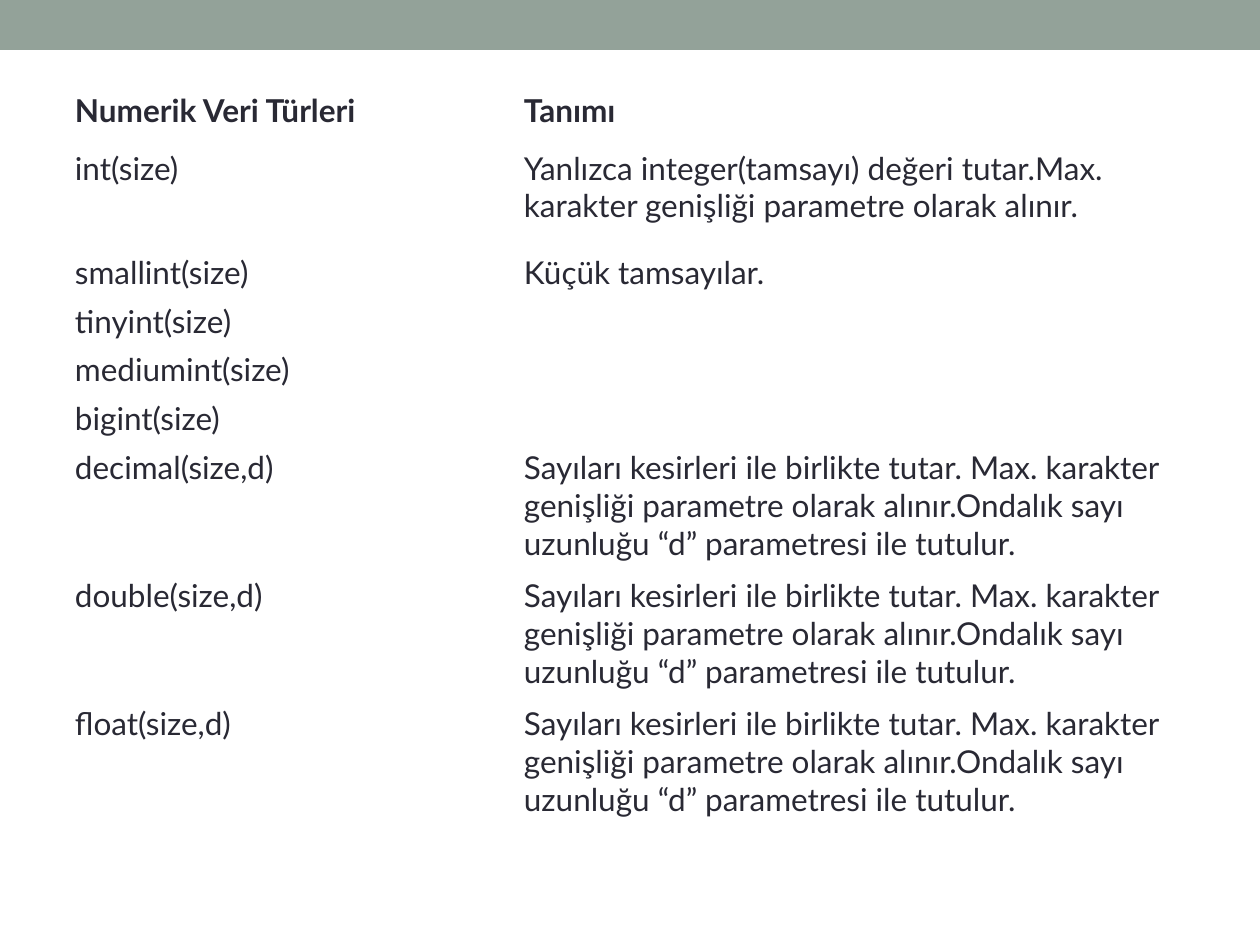
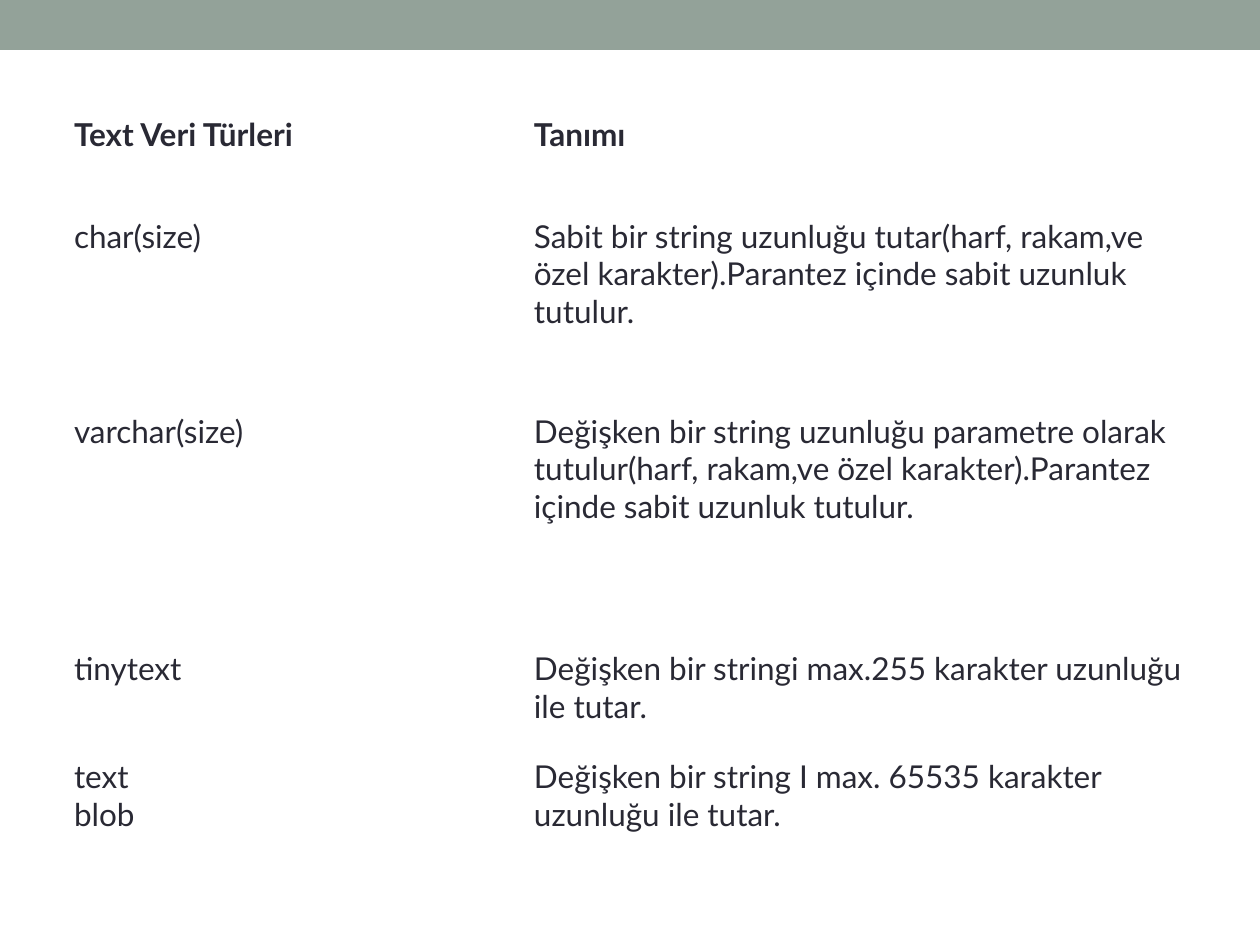
import pptx
import pptx.dml.color
import pptx.enum.shapes
import pptx.util

PX = 914400 // 126
SLIDE_WIDTH, SLIDE_HEIGHT = 1260, 945
BAND_HEIGHT = 50
BLANK_LAYOUT = 6
FONT = "Lato"

SAGE = pptx.dml.color.RGBColor(0x93, 0xA2, 0x99)
INK = pptx.dml.color.RGBColor(0x29, 0x29, 0x34)
WHITE = pptx.dml.color.RGBColor(0xFF, 0xFF, 0xFF)

FRACTION_NOTE = (
    "Sayıları kesirleri ile birlikte tutar. Max. karakter genişliği parametre "
    "olarak alınır.Ondalık sayı uzunluğu “d” parametresi ile tutulur."
)
NUMERIC_TYPES = [
    ("Numerik Veri Türleri", "Tanımı"),
    ("int(size)", "Yanlızca integer(tamsayı) değeri tutar.Max. karakter "
                  "genişliği parametre olarak alınır."),
    ("smallint(size)", "Küçük tamsayılar."),
    ("tinyint(size)", ""),
    ("mediumint(size)", ""),
    ("bigint(size)", ""),
    ("decimal(size,d)", FRACTION_NOTE),
    ("double(size,d)", FRACTION_NOTE),
    ("float(size,d)", FRACTION_NOTE),
]
TEXT_TYPES = [
    ("Text Veri Türleri", "Tanımı"),
    ("char(size)", "Sabit bir string uzunluğu tutar(harf, rakam,ve özel "
                   "karakter).Parantez içinde sabit uzunluk tutulur."),
    ("varchar(size)", "Değişken bir string uzunluğu parametre olarak tutulur(harf, "
                      "rakam,ve özel karakter).Parantez içinde sabit uzunluk tutulur."),
    ("tinytext", "Değişken bir stringi max.255 karakter uzunluğu ile tutar."),
    ("text\nblob", "Değişken bir string I max. 65535 karakter uzunluğu ile tutar."),
]


def px(length):
    """Turn whole pixels into EMU."""
    return pptx.util.Emu(length * PX)


def write_text(text_frame, text, size=18, bold=False, color=INK):
    """Write one paragraph of formatted text."""
    paragraph = text_frame.paragraphs[0]
    paragraph.text = text
    for run in paragraph.runs:
        run.font.name = FONT
        run.font.size = pptx.util.Pt(size)
        run.font.bold = bold
        run.font.color.rgb = color


def add_banded_slide(presentation):
    """Add a blank slide with the coloured band along its top."""
    slide = presentation.slides.add_slide(presentation.slide_layouts[BLANK_LAYOUT])
    band = slide.shapes.add_shape(
        pptx.enum.shapes.MSO_SHAPE.RECTANGLE, 0, 0, px(SLIDE_WIDTH), px(BAND_HEIGHT)
    )
    band.shadow.inherit = False
    band.fill.solid()
    band.fill.fore_color.rgb = SAGE
    band.line.fill.background()
    return slide


def add_type_table(slide, rows, left, top, widths, heights, inset_x, inset_y):
    """Add a plain white table whose first row is bold."""
    table = slide.shapes.add_table(
        len(rows), len(widths), px(left), px(top), px(sum(widths)), px(sum(heights))
    ).table
    table.first_row = False
    table.horz_banding = False
    for column, width in zip(table.columns, widths):
        column.width = px(width)
    for row_index, (texts, height) in enumerate(zip(rows, heights)):
        table.rows[row_index].height = px(height)
        for column_index, text in enumerate(texts):
            cell = table.cell(row_index, column_index)
            cell.fill.solid()
            cell.fill.fore_color.rgb = WHITE
            cell.margin_left = cell.margin_right = px(inset_x)
            cell.margin_top = cell.margin_bottom = px(inset_y)
            write_text(cell.text_frame, text, bold=row_index == 0)


def main():
    """Build both data type slides."""
    presentation = pptx.Presentation()
    presentation.slide_width = px(SLIDE_WIDTH)
    presentation.slide_height = px(SLIDE_HEIGHT)

    add_type_table(
        add_banded_slide(presentation), NUMERIC_TYPES, left=64, top=86,
        widths=[449, 673], heights=[58, 104] + [49] * 4 + [128] * 3,
        inset_x=11, inset_y=5,
    )
    add_type_table(
        add_banded_slide(presentation), TEXT_TYPES, left=54, top=106,
        widths=[460, 690], heights=[102, 195, 238, 108, 151],
        inset_x=20, inset_y=9,
    )
    presentation.save("out.pptx")


if __name__ == "__main__":
    main()
